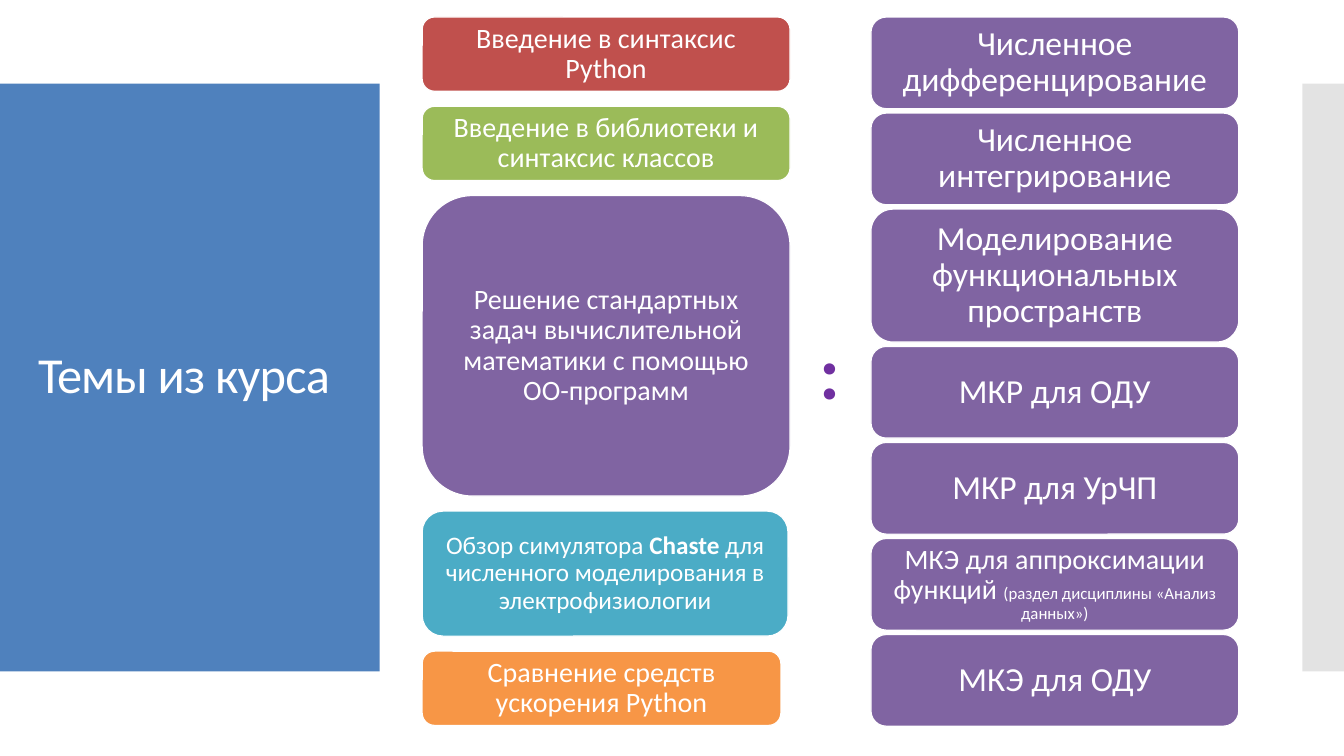
"""Build the slide that lists the course topics."""
from pptx import Presentation
from pptx.dml.color import RGBColor
from pptx.enum.shapes import MSO_SHAPE
from pptx.enum.text import MSO_ANCHOR, PP_ALIGN
from pptx.oxml.xmlchemy import OxmlElement
from pptx.util import Cm, Pt

WHITE = RGBColor(0xFF, 0xFF, 0xFF)
BLUE = RGBColor(0x4F, 0x81, 0xBD)
GRAY = RGBColor(0xC8, 0xC8, 0xC8)
RED = RGBColor(0xC0, 0x50, 0x4D)
GREEN = RGBColor(0x9B, 0xBB, 0x59)
PURPLE = RGBColor(0x80, 0x64, 0xA2)
TEAL = RGBColor(0x4B, 0xAC, 0xC6)
ORANGE = RGBColor(0xF7, 0x96, 0x46)
VIOLET = RGBColor(0x70, 0x30, 0xA0)


def add_block(kind, left, top, width, height, color):
    shape = slide.shapes.add_shape(kind, Cm(left), Cm(top), Cm(width), Cm(height))
    shape.shadow.inherit = False
    shape.fill.solid()
    shape.fill.fore_color.rgb = color
    shape.line.fill.background()
    return shape


def add_run(paragraph, text, size, color=WHITE, bold=False):
    run = paragraph.add_run()
    run.text = text
    run.font.name = "Calibri"
    run.font.size = Pt(size)
    run.font.bold = bold
    run.font.color.rgb = color
    return run


presentation = Presentation()
presentation.slide_width = Cm(33.87)
presentation.slide_height = Cm(19.05)
slide = presentation.slides.add_slide(presentation.slide_layouts[6])

add_block(MSO_SHAPE.RECTANGLE, 0, 2.11, 9.57, 14.81, BLUE)
side_bar = add_block(MSO_SHAPE.RECTANGLE, 32.82, 2.11, 1.05, 14.81, GRAY)
alpha = OxmlElement("a:alpha")
alpha.set("val", "50000")
side_bar.fill._xPr.find(".//{*}srgbClr").append(alpha)

title = slide.shapes.add_textbox(Cm(0.71), Cm(3.12), Cm(8.18), Cm(12.78))
title.text_frame.word_wrap = True
title.text_frame.vertical_anchor = MSO_ANCHOR.MIDDLE
title_paragraph = title.text_frame.paragraphs[0]
title_paragraph.line_spacing = 0.9
title_run = add_run(title_paragraph, "Темы из курса", 36)
title_run.font._element.set("spc", "-60")

topics = [
    (9.27, 1.87, RED, [("Введение в синтаксис Python", 20, False)]),
    (9.27, 1.87, GREEN, [("Введение в библиотеки и синтаксис классов", 20, False)]),
    (9.27, 7.57, PURPLE, [
        ("Решение стандартных задач вычислительной математики с помощью ОО-программ", 20, False)]),
    (9.22, 3.15, TEAL, [
        ("Обзор симулятора ", 18, False),
        ("Chaste", 18, True),
        (" для численного моделирования в электрофизиологии", 18, False)]),
    (9.04, 1.87, ORANGE, [("Сравнение средств ускорения Python", 20, False)]),
]
methods = [
    (9.27, 2.31, PURPLE, [("Численное дифференцирование", 24, False)]),
    (9.27, 2.31, PURPLE, [("Численное интегрирование", 24, False)]),
    (9.27, 3.35, PURPLE, [("Моделирование функциональных пространств", 24, False)]),
    (9.27, 2.31, PURPLE, [("МКР для ОДУ", 24, False)]),
    (9.27, 2.31, PURPLE, [("МКР для УрЧП", 24, False)]),
    (9.27, 2.31, PURPLE, [
        ("МКЭ для аппроксимации функций ", 20, False),
        ("(раздел дисциплины «Анализ данных»)", 12, False)]),
    (9.27, 2.31, PURPLE, [("МКЭ для ОДУ", 24, False)]),
]

for left, gap, blocks in [(10.64, 0.38, topics), (21.95, 0.11, methods)]:
    top = 0.43
    for width, height, color, runs in blocks:
        block = add_block(MSO_SHAPE.ROUNDED_RECTANGLE, left, top, width, height, color)
        block.line.color.rgb = WHITE
        block.line.width = Pt(0.85)
        frame = block.text_frame
        frame.word_wrap = True
        frame.vertical_anchor = MSO_ANCHOR.MIDDLE
        first_size = runs[0][1]
        frame.margin_left = frame.margin_right = Cm(first_size * 0.01)
        frame.margin_top = frame.margin_bottom = Cm(first_size * 0.005)
        paragraph = frame.paragraphs[0]
        paragraph.alignment = PP_ALIGN.CENTER
        paragraph.line_spacing = 0.9
        for text, size, bold in runs:
            add_run(paragraph, text, size, bold=bold)
        top += height + gap

colon = slide.shapes.add_textbox(Cm(20.4), Cm(8.03), Cm(1.04), Cm(2.57))
add_run(colon.text_frame.paragraphs[0], ":", 54, VIOLET, bold=True)

presentation.save("out.pptx")
